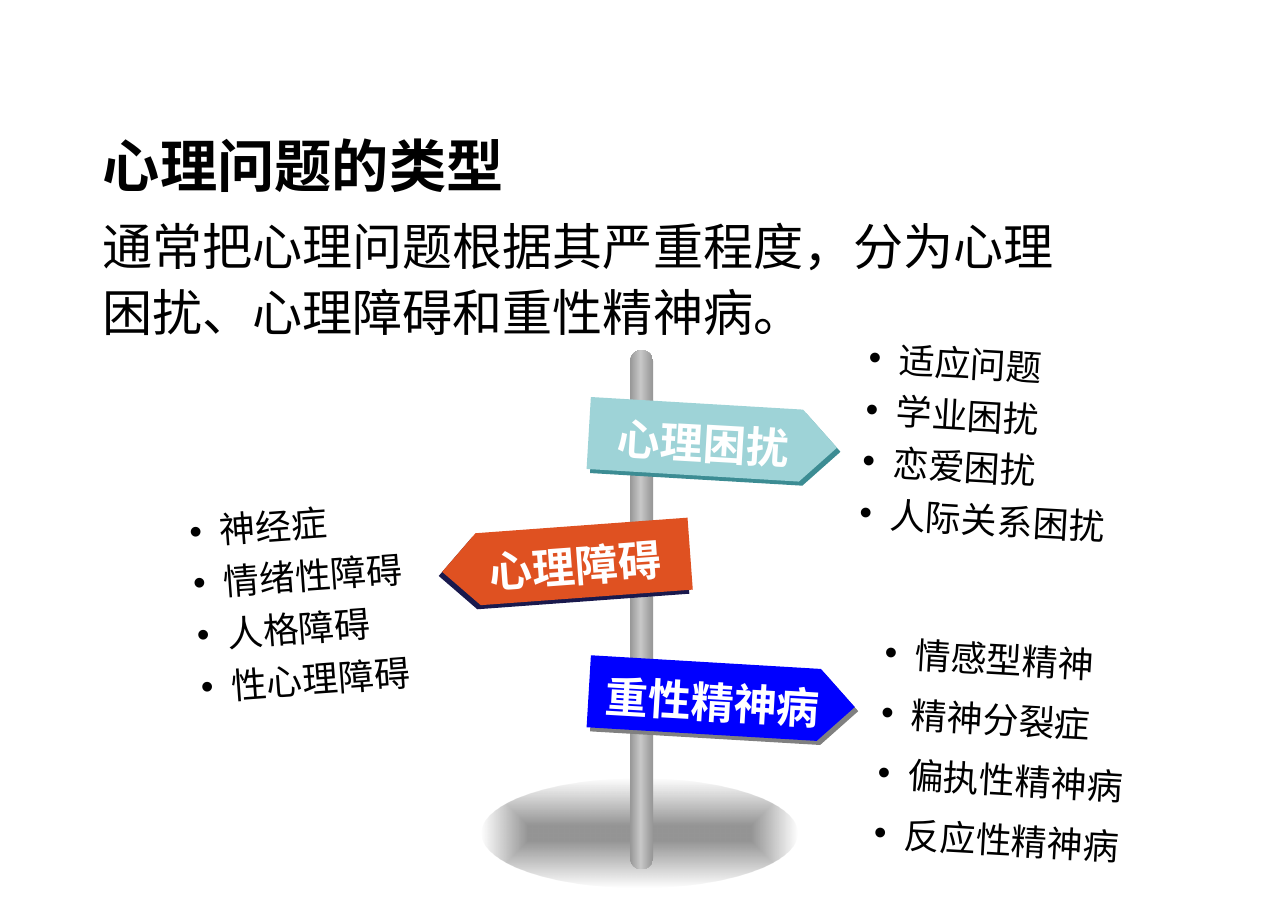
from pptx import Presentation
from pptx.dml.color import RGBColor
from pptx.enum.shapes import MSO_SHAPE
from pptx.enum.text import MSO_ANCHOR, MSO_AUTO_SIZE, PP_ALIGN
from pptx.oxml import parse_xml
from pptx.oxml.ns import nsdecls, qn
from pptx.util import Pt

ELLIPSE, ROUNDED, SIGN = MSO_SHAPE.OVAL, MSO_SHAPE.ROUNDED_RECTANGLE, MSO_SHAPE.PENTAGON
MIDDLE, TOP = MSO_ANCHOR.MIDDLE, MSO_ANCHOR.TOP
LEFT, CENTER = PP_ALIGN.LEFT, PP_ALIGN.CENTER
GROW = MSO_AUTO_SIZE.SHAPE_TO_FIT_TEXT

RADIAL = '<a:path path="shape"><a:fillToRect l="50000" t="50000" r="50000" b="50000"/></a:path>'
ACROSS = '<a:lin ang="0" scaled="0"/>'


def color(value):
    return RGBColor.from_string(value)


def xml(text):
    return parse_xml(text.replace(">", f" {nsdecls('a')}>", 1))


class SignpostSlide:
    """Style and drawing methods for one signpost slide."""

    font = "Noto Sans CJK SC"
    ink = "000000"
    indent = 17

    def __init__(self, s):
        self.s = s

    def add_text(self, p, text, **formats):
        r = p.add_run()
        r.text = text
        fill = formats.pop("color", self.ink)
        for name, value in {"name": self.font, **formats}.items():
            setattr(r.font, name, value)
        r.font.color.rgb = color(fill)
        r._r.get_or_add_rPr().append(xml(f'<a:ea typeface="{self.font}"></a:ea>'))

    def shape(self, kind, box):
        sp = self.s.shapes.add_shape(kind, *map(Pt, box))
        sp.line.fill.background()
        sp.shadow.inherit = False
        return sp

    def gradient(self, kind, box, stops, direction):
        sp = self.shape(kind, box)
        marks = "".join(
            f'<a:gs pos="{at * 1000}"><a:srgbClr val="{value}">'
            f'<a:alpha val="{alpha * 1000}"/></a:srgbClr></a:gs>'
            for at, value, alpha in stops)
        fill = xml(f"<a:gradFill><a:gsLst>{marks}</a:gsLst>{direction}</a:gradFill>")
        sp._element.spPr.find(qn("a:prstGeom")).addnext(fill)
        return sp

    def sign(self, text, box, rotation, fill, shade, flip=False):
        sp = self.shape(SIGN, box)
        sp.rotation = rotation
        sp.fill.solid()
        sp.fill.fore_color.rgb = color(fill)
        spPr = sp._element.spPr
        if flip:
            spPr.find(qn("a:xfrm")).set("flipH", "1")
        angle = 130 if flip else 50
        spPr.find(qn("a:effectLst")).append(xml(
            f'<a:outerShdw dist="{Pt(3)}" dir="{angle * 60000}" rotWithShape="0">'
            f'<a:srgbClr val="{shade}"/></a:outerShdw>'))
        tf = sp.text_frame
        tf.vertical_anchor = MIDDLE
        p = tf.paragraphs[0]
        p.alignment, p.line_spacing = CENTER, Pt(32)
        self.add_text(p, text, size=Pt(24), bold=True, color="FFFFFF")

    def text_box(self, box, **formats):
        sp = self.s.shapes.add_textbox(*map(Pt, box))
        for name, value in {"word_wrap": True, **formats}.items():
            setattr(sp.text_frame, name, value)
        return sp

    def bullets(self, items, box, rotation, spacing):
        margins = {f"margin_{side}": 0 for side in ("left", "top", "right", "bottom")}
        sp = self.text_box(box, vertical_anchor=MIDDLE, **margins)
        sp.rotation = rotation
        tf = sp.text_frame
        for i, item in enumerate(items):
            p = tf.add_paragraph() if i else tf.paragraphs[0]
            p.alignment, p.line_spacing = LEFT, Pt(spacing)
            pPr = p._p.get_or_add_pPr()
            pPr.set("marL", str(Pt(self.indent)))
            pPr.set("indent", str(-Pt(self.indent)))
            pPr.append(xml('<a:buFont typeface="Arial"></a:buFont>'))
            pPr.append(xml('<a:buChar char="•"></a:buChar>'))
            self.add_text(p, item, size=Pt(20))

    def heading(self, title, body, box):
        tf = self.text_box(box, vertical_anchor=TOP, auto_size=GROW).text_frame
        p = tf.paragraphs[0]
        p.line_spacing = Pt(60)
        self.add_text(p, title, size=Pt(32), bold=True)
        p = tf.add_paragraph()
        p.line_spacing, p.space_before = Pt(37), Pt(6)
        self.add_text(p, body, size=Pt(28), bold=False)


def main():
    prs = Presentation()
    prs.slide_width, prs.slide_height = Pt(720), Pt(510.5)
    slide = SignpostSlide(prs.slides.add_slide(prs.slide_layouts[6]))

    slide.gradient(ELLIPSE, (269.3, 435.6, 176.4, 60.5),
                   [(15, "000000", 41), (100, "000000", 0)], RADIAL)
    post = slide.gradient(ROUNDED, (352.1, 195.8, 13, 290.2),
                          [(0, "969696", 100), (46, "C7C7C7", 100), (100, "969696", 100)], ACROSS)
    post.adjustments[0] = 0.5

    right, left = 3.4, 355.8
    slide.sign("心理困扰", (329, 226.1, 139, 40.3), right, "9ED3D7", "3C8C93")
    slide.bullets(["适应问题", "学业困扰", "恋爱困扰", "人际关系困扰"],
                  (483.1, 206.5, 197.3, 80), right, 29)
    slide.sign("心理障碍", (247, 294.5, 139, 40.3), left, "DF5121", "19194D", flip=True)
    slide.bullets(["神经症", "情绪性障碍", "人格障碍", "性心理障碍"],
                  (108.7, 291.4, 187.2, 80), left, 29)
    slide.sign("重性精神病", (329, 370.8, 149, 40.3), right, "0000FF", "808080")
    slide.bullets(["情感型精神", "精神分裂症", "偏执性精神病", "反应性精神病"],
                  (491.8, 375, 162.7, 80), right, 33.6)
    slide.heading("心理问题的类型",
                  "通常把心理问题根据其严重程度，分为心理困扰、心理障碍和重性精神病。",
                  (50.4, 47.5, 563, 147))
    prs.save("out.pptx")


if __name__ == "__main__":
    main()
